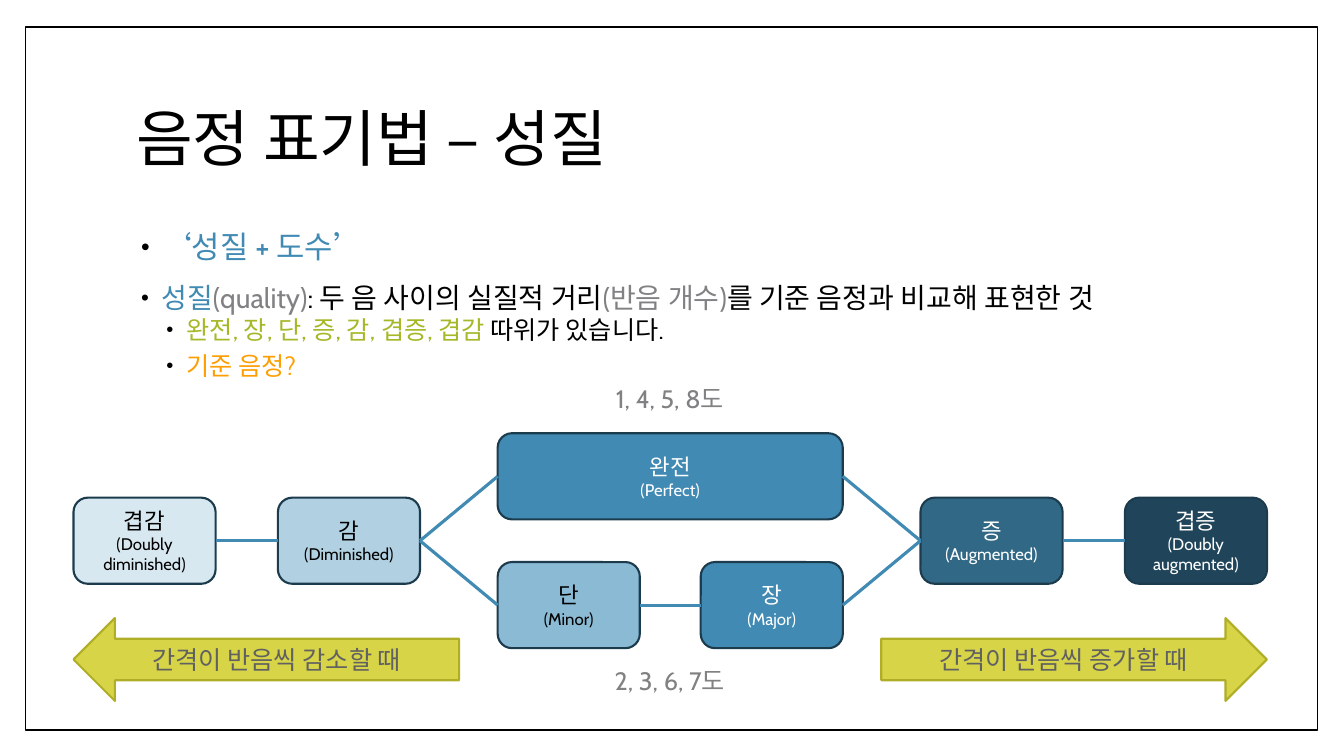
from lxml import etree
from pptx import Presentation
from pptx.dml.color import RGBColor
from pptx.enum import shapes, text
from pptx.oxml import ns
from pptx.util import Pt

FONT = "Cabin"
BLUE, GREY, BLACK, WHITE = "418AB3", "818183", "000000", "FFFFFF"
GREEN, ORANGE = "A6B727", "FE9E00"


def paint(item, color):
    if hasattr(item, "solid"):
        item.solid()
        item.fore_color.rgb = RGBColor.from_string(color)
    else:
        item.color.rgb = RGBColor.from_string(color)


def add_panel(kind, left, top, width, height, fill, line, weight):
    panel = page.shapes.add_shape(kind, Pt(left), Pt(top), Pt(width), Pt(height))
    panel.shadow.inherit = False
    paint(panel.fill, fill)
    paint(panel.line, line)
    panel.line.width = Pt(weight)
    panel.text_frame.vertical_anchor = text.MSO_ANCHOR.MIDDLE
    panel.text_frame.paragraphs[0].alignment = text.PP_ALIGN.CENTER
    return panel


deck = Presentation()
deck.slide_width, deck.slide_height = Pt(960), Pt(540)
page = deck.slides.add_slide(deck.slide_layouts[1])

frame = add_panel(shapes.MSO_SHAPE.RECTANGLE, 18, 19.4, 923, 502, WHITE, BLACK, 1)
page.shapes.element.insert(2, frame.element)

title, body = page.placeholders
for holder, top, height in ((title, 48, 106.5), (body, 162, 347)):
    holder.left, holder.top = Pt(90), Pt(top)
    holder.width, holder.height = Pt(778), Pt(height)
    holder.text_frame.auto_size = text.MSO_AUTO_SIZE.NONE

title.text_frame.text = "음정 표기법 – 성질"
title.text_frame.vertical_anchor = text.MSO_ANCHOR.MIDDLE
heading = title.text_frame.paragraphs[0]
heading.alignment = text.PP_ALIGN.LEFT
heading.line_spacing = 0.9
heading.font.name, heading.font.size = FONT, Pt(44)
paint(heading.font, BLACK)

bullets = [
    (0, 22, 0, 0, [("‘성질 + 도수’", BLUE)]),
    (0, 20, 14, 0, [
        ("성질", BLUE),
        ("(quality)", GREY),
        (": 두 음 사이의 실질적 거리", BLACK),
        ("(반음 개수)", GREY),
        ("를 기준 음정과 비교해 표현한 것", BLACK),
    ]),
    (1, 18, 2, 4, [
        ("완전, 장, 단, 증, 감, 겹증, 겹감 ", GREEN),
        ("따위가 있습니다.", BLACK),
    ]),
    (1, 18, 2, 4, [("기준 음정?", ORANGE)]),
]
for index, (level, size, before, after, parts) in enumerate(bullets):
    para = body.text_frame.add_paragraph() if index else body.text_frame.paragraphs[0]
    para.level = level
    para.line_spacing = 0.9
    para.space_before, para.space_after = Pt(before), Pt(after)
    settings = para._p.get_or_add_pPr()
    settings.set("marL", str(Pt(18 * (level + 1))))
    settings.set("indent", str(Pt(-14.4)))
    bullet_color = etree.SubElement(settings, ns.qn("a:buClr"))
    etree.SubElement(bullet_color, ns.qn("a:srgbClr"), val=BLACK)
    etree.SubElement(settings, ns.qn("a:buSzPct"), val="80000")
    etree.SubElement(settings, ns.qn("a:buChar"), char="•")
    para.font.name, para.font.size = FONT, Pt(size)
    for words, color in parts:
        span = para.add_run()
        span.text = words
        paint(span.font, color)

columns = [52.5, 198.5, 355.5, 500.5, 657.5, 803.5]
rows = [309.5, 355.5, 401.5]
narrow, wide = 101.5, 246.5
qualities = [
    ("완전", ["(Perfect)"], 2, 0, wide, BLUE, WHITE),
    ("단", ["(Minor)"], 2, 2, narrow, "8ABAD4", BLACK),
    ("장", ["(Major)"], 3, 2, narrow, BLUE, WHITE),
    ("증", ["(Augmented)"], 4, 1, narrow, "316886", WHITE),
    ("겹증", ["(Doubly", "augmented)"], 5, 1, narrow, "20455A", WHITE),
    ("겹감", ["(Doubly", "diminished)"], 0, 1, narrow, "D8E8F1", BLACK),
    ("감", ["(Diminished)"], 1, 1, narrow, "B1D1E3", BLACK),
]
boxes = {}
for name, english, column, row, width, fill, color in qualities:
    box = add_panel(shapes.MSO_SHAPE.ROUNDED_RECTANGLE, columns[column], rows[row],
                    width, 61.5, fill, "1C3C4E", 1.5)
    para = box.text_frame.paragraphs[0]
    para.font.name = FONT
    paint(para.font, color)
    span = para.add_run()
    span.text = name
    span.font.size = Pt(16)
    for words in english:
        para.add_line_break()
        span = para.add_run()
        span.text = words
        span.font.size = Pt(12)
    boxes[name] = box

links = [("겹감", "감"), ("감", "완전"), ("감", "단"), ("단", "장"),
         ("장", "증"), ("완전", "증"), ("증", "겹증")]
for start, end in links:
    link = page.shapes.add_connector(shapes.MSO_CONNECTOR.STRAIGHT, 0, 0, 0, 0)
    link.begin_connect(boxes[start], 3)
    link.end_connect(boxes[end], 1)
    paint(link.line, BLUE)
    link.line.width = Pt(2.25)
    etree.SubElement(link.element.spPr, ns.qn("a:effectLst"))

for words, top in (("1, 4, 5, 8도", 270), ("2, 3, 6, 7도", 471.6)):
    label = page.shapes.add_textbox(Pt(395.5), Pt(top), Pt(166), Pt(29))
    label.text_frame.word_wrap = True
    label.text_frame.text = words
    para = label.text_frame.paragraphs[0]
    para.alignment = text.PP_ALIGN.CENTER
    para.font.name, para.font.size = FONT, Pt(18)
    paint(para.font, GREY)

arrows = [
    (shapes.MSO_SHAPE.RIGHT_ARROW, 629.5, "간격이 반음씩 증가할 때"),
    (shapes.MSO_SHAPE.LEFT_ARROW, 52.5, "간격이 반음씩 감소할 때"),
]
for kind, left, words in arrows:
    arrow = add_panel(kind, left, 441.5, 275.5, 59.2, "D7D447", "B0AD26", 1.5)
    para = arrow.text_frame.paragraphs[0]
    para.font.name, para.font.size = FONT, Pt(18)
    paint(para.font, "616162")
    para.add_run().text = words

deck.save("out.pptx")
